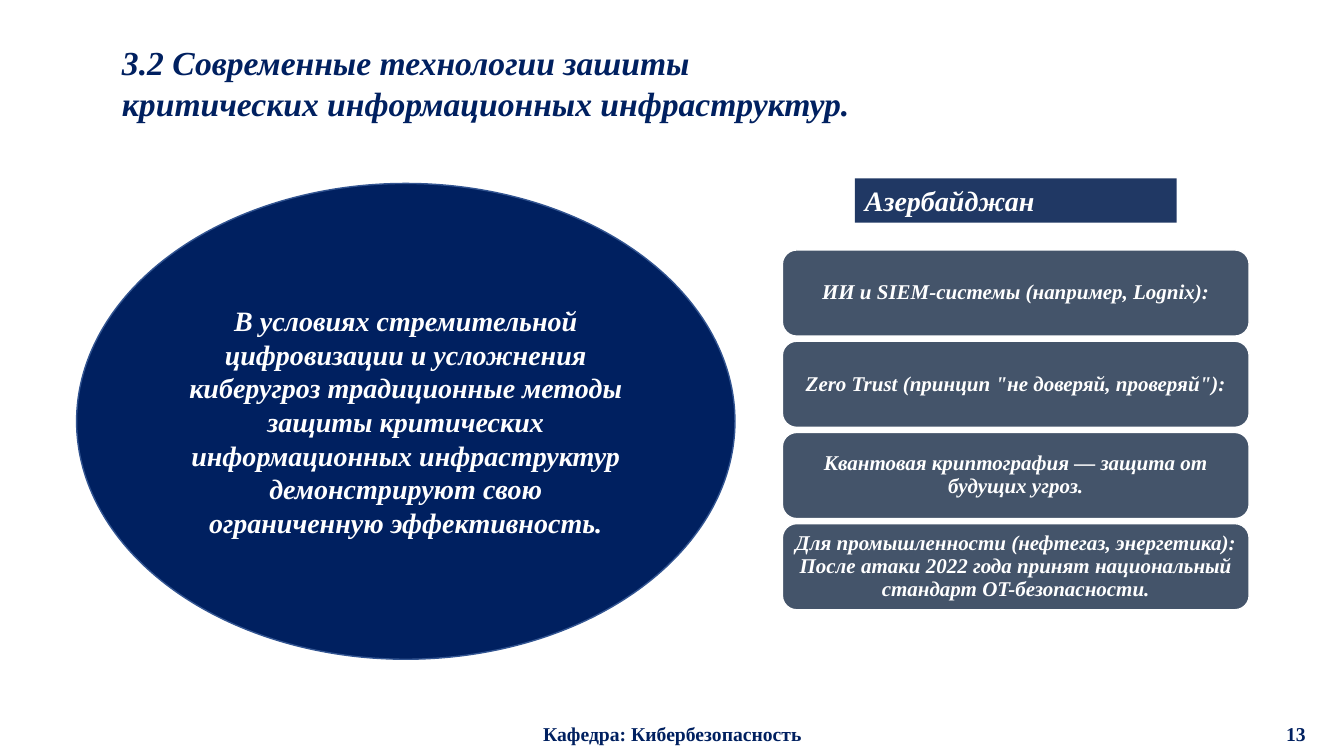
from pptx import Presentation
from pptx.dml.color import RGBColor
from pptx.enum.shapes import MSO_SHAPE
from pptx.enum.text import MSO_ANCHOR, MSO_AUTO_SIZE, PP_ALIGN
from pptx.util import Inches, Pt

FONT = "Times New Roman"
COLORS = {"navy": "002060", "edge": "325491", "label": "203864",
          "card": "44546A", "white": "FFFFFF"}
CARDS = [
    "ИИ и SIEM-системы (например, Lognix):",
    "Zero Trust (принцип \"не доверяй, проверяй\"):",
    "Квантовая криптография — защита от будущих угроз.",
    "Для промышленности (нефтегаз, энергетика):\v"
    "После атаки 2022 года принят национальный стандарт OT-безопасности.",
]


def color(name):
    return RGBColor.from_string(COLORS[name])


def write(shape, text, size, ink, align=PP_ALIGN.LEFT,
          anchor=MSO_ANCHOR.MIDDLE, italic=True):
    frame = shape.text_frame
    frame.text = text
    frame.word_wrap = True
    frame.auto_size = MSO_AUTO_SIZE.NONE
    frame.vertical_anchor = anchor
    for para in frame.paragraphs:
        para.alignment = align
        for run in para.runs:
            font = run.font
            font.name, font.size = FONT, Pt(size)
            font.bold, font.italic = True, italic
            font.color.rgb = color(ink)


def add_block(slide, kind, box, fill, line=None):
    shape = slide.shapes.add_shape(kind, *map(Inches, box))
    shape.shadow.inherit = False
    shape.fill.solid()
    shape.fill.fore_color.rgb = color(fill)
    if line:
        shape.line.color.rgb = color(line)
        shape.line.width = Pt(1)
    else:
        shape.line.fill.background()
    return shape


def add_title(slide, box):
    title = slide.shapes.title
    title.left, title.top, title.width, title.height = map(Inches, box)
    write(title, "3.2 Современные технологии зашиты критических "
          "информационных инфраструктур.", 24, "navy", anchor=MSO_ANCHOR.TOP)
    title.text_frame.paragraphs[0].line_spacing = 1.0


def add_thesis(slide, box):
    oval = add_block(slide, MSO_SHAPE.OVAL, box, "navy", "edge")
    write(oval, "В условиях стремительной цифровизации и усложнения киберугроз "
          "традиционные методы защиты критических информационных инфраструктур "
          "демонстрируют свою ограниченную эффективность.",
          20, "white", PP_ALIGN.CENTER)


def add_label(slide, box):
    label = add_block(slide, MSO_SHAPE.RECTANGLE, box, "label")
    write(label, "Азербайджан", 20, "white", anchor=MSO_ANCHOR.TOP)


def add_cards(slide, box, gap=0.05):
    left, top, width, height = box
    tall = (height - gap * (len(CARDS) - 1)) / len(CARDS)
    for i, text in enumerate(CARDS):
        place = (left, top + i * (tall + gap), width, tall)
        card = add_block(slide, MSO_SHAPE.ROUNDED_RECTANGLE, place,
                         "card", "white")
        write(card, text, 15, "white", PP_ALIGN.CENTER)
        frame = card.text_frame
        frame.margin_left = frame.margin_right = Inches(0.06)
        frame.margin_top = frame.margin_bottom = Inches(0.06)
        para = frame.paragraphs[0]
        para.line_spacing = 0.9
        para.space_after = Pt(5.25)


def add_footer(slide, box):
    left, top, width, height = box
    number = 3
    parts = [("Кафедра: Кибербезопасность", left, 4.5, PP_ALIGN.CENTER),
             ("13", left + width - number, number, PP_ALIGN.RIGHT)]
    for text, x, wide, align in parts:
        note = slide.shapes.add_textbox(*map(Inches, (x, top, wide, height)))
        write(note, text, 14, "navy", align, italic=False)


def main():
    deck = Presentation()
    deck.slide_width, deck.slide_height = Inches(13.33), Inches(7.5)
    slide = deck.slides.add_slide(deck.slide_layouts[5])
    add_title(slide, (1.11, 0.37, 7.55, 0.91))
    add_thesis(slide, (0.76, 1.82, 6.53, 4.72))
    add_label(slide, (8.48, 1.77, 3.19, 0.44))
    add_cards(slide, (7.76, 2.48, 4.63, 3.57))
    add_footer(slide, (4.42, 7.08, 8.63, 0.4))
    deck.save("out.pptx")


if __name__ == "__main__":
    main()
